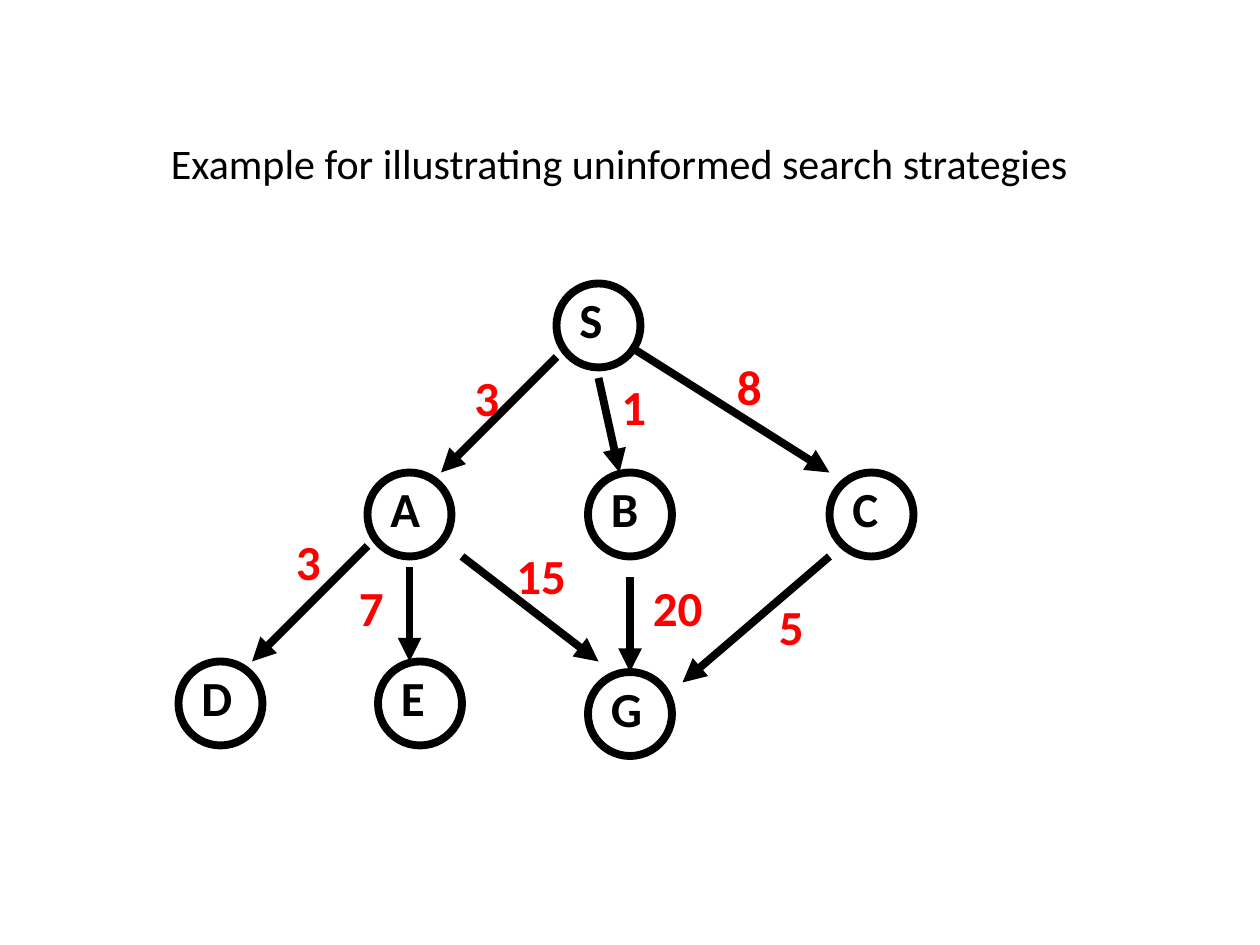
from dataclasses import dataclass

from lxml.etree import SubElement
from pptx import Presentation
from pptx.dml.color import RGBColor
from pptx.enum.shapes import MSO_CONNECTOR as Connector, MSO_SHAPE as Shape
from pptx.enum.text import MSO_ANCHOR as Anchor, MSO_AUTO_SIZE as AutoSize, PP_ALIGN as Align
from pptx.oxml.ns import qn
from pptx.util import Emu, Pt


@dataclass(frozen=True)
class Theme:
    """Hold the colours, font and sizes of the slide."""
    ink: RGBColor = RGBColor(0, 0, 0)
    cost: RGBColor = RGBColor(255, 0, 0)
    font: str = "Calibri"
    title_size: Pt = Pt(24)
    label_size: Pt = Pt(28)
    stroke: Pt = Pt(4.5)


THEME = Theme()
EMU_PER_PX = 9525
NODE_SIZE = 64
LETTER_INSET = 8
LABEL_HEIGHT = 55

NODES = [
    ("S", 424, 216, 40),
    ("C", 632, 360, 46),
    ("B", 448, 360, 44),
    ("A", 280, 360, 46),
    ("D", 136, 504, 46),
    ("G", 448, 512, 48),
    ("E", 288, 504, 44),
]
EDGES = [
    (424, 272, 336, 360),
    (312, 432, 312, 504),
    (352, 424, 456, 504),
    (456, 288, 472, 360),
    (480, 264, 632, 360),
    (480, 440, 480, 512),
    (632, 424, 520, 520),
    (280, 416, 192, 504),
]
COSTS = [
    ("3", 352, 275, 38),
    ("1", 464, 282, 38),
    ("8", 552, 267, 38),
    ("15", 384, 411, 57),
    ("20", 488, 435, 57),
    ("5", 584, 450, 38),
    ("3", 216, 400, 38),
    ("7", 264, 435, 38),
]


def px(*lengths):
    """Turn pixel lengths into EMU."""
    return [Emu(length * EMU_PER_PX) for length in lengths]


def add_text(slide, text, box, size, color, bold=False):
    """Add a one-paragraph text box and return its frame."""
    frame = slide.shapes.add_textbox(*px(*box)).text_frame
    frame.text = text
    font = frame.paragraphs[0].font
    font.name, font.size, font.bold = THEME.font, size, bold
    font.color.rgb = color
    return frame


def add_title(slide, text):
    """Add the centred slide title."""
    frame = add_text(slide, text, (64, 64, 816, 120), THEME.title_size, THEME.ink)
    frame.word_wrap = True
    frame.vertical_anchor = Anchor.MIDDLE
    frame.paragraphs[0].alignment = Align.CENTER


def add_label(slide, text, left, top, width, color):
    """Add a bold label that fits its text."""
    box = (left, top, width, LABEL_HEIGHT)
    frame = add_text(slide, text, box, THEME.label_size, color, bold=True)
    frame.word_wrap = False
    frame.auto_size = AutoSize.SHAPE_TO_FIT_TEXT


def add_node(slide, letter, left, top, letter_width):
    """Add a circled state with its letter."""
    circle = slide.shapes.add_shape(Shape.OVAL, *px(left, top, NODE_SIZE, NODE_SIZE))
    circle.shadow.inherit = False
    circle.fill.background()
    circle.line.color.rgb = THEME.ink
    circle.line.width = THEME.stroke
    add_label(slide, letter, left + LETTER_INSET, top, letter_width, THEME.ink)


def add_edge(slide, ends):
    """Add an arrow from parent to child."""
    arrow = slide.shapes.add_connector(Connector.STRAIGHT, *px(*ends))
    arrow.line.color.rgb = THEME.ink
    arrow.line.width = THEME.stroke
    SubElement(arrow.line._get_or_add_ln(), qn("a:tailEnd"), type="triangle")
    SubElement(arrow._element.spPr, qn("a:effectLst"))


def main():
    """Build the search graph slide."""
    deck = Presentation()
    deck.slide_width, deck.slide_height = px(960, 720)
    slide = deck.slides.add_slide(deck.slide_layouts[6])
    add_title(slide, "Example for illustrating uninformed search strategies")
    for node in NODES:
        add_node(slide, *node)
    for ends in EDGES:
        add_edge(slide, ends)
    for cost in COSTS:
        add_label(slide, *cost, THEME.cost)
    deck.save("out.pptx")


if __name__ == "__main__":
    main()
